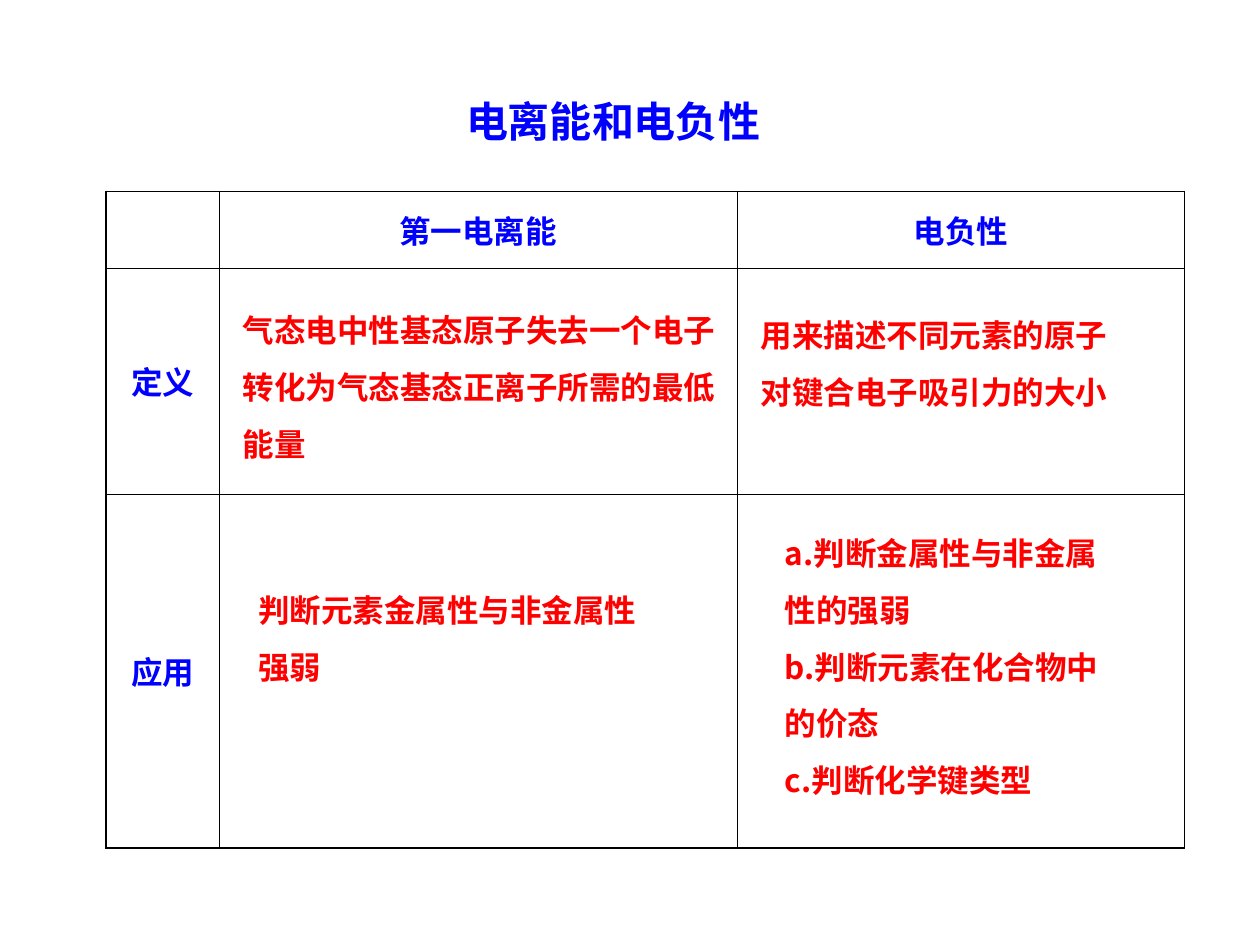
from lxml import etree
from pptx import Presentation
from pptx.dml.color import RGBColor
from pptx.enum.text import MSO_ANCHOR, MSO_AUTO_SIZE, PP_ALIGN
from pptx.oxml.ns import qn
from pptx.util import Inches, Pt

MIDDLE = MSO_ANCHOR.MIDDLE
GROW = MSO_AUTO_SIZE.SHAPE_TO_FIT_TEXT
CENTER = PP_ALIGN.CENTER

FONT = "Noto Sans CJK SC"
COLORS = {"heading": "0000FF", "answer": "FF0000", "border": "000000"}
OUTER, INNER = 1.08, 0.45

TITLE = ("电离能和电负性", (3.6, 0.71, 2.61, 0.5))
ROWS = [
    ["", "第一电离能", "电负性"],
    ["定义", "", ""],
    ["应用", "", ""],
]
TABLE_LEFT, TABLE_TOP = 0.84, 1.52
COLUMN_WIDTHS = [0.9, 4.11, 3.55]
ROW_HEIGHTS = [0.61, 1.79, 2.81]
ANSWERS = [
    (["气态电中性基态原子失去一个电子转化为气态基态正离子所需的最低能量"],
     (1.83, 2.27, 4.17, 1.45)),
    (["用来描述不同元素的原子对键合电子吸引力的大小"],
     (5.94, 2.31, 3.18, 1)),
    (["判断元素金属性与非金属性", "强弱"],
     (1.95, 4.49, 3.86, 1)),
    (["a.判断金属性与非金属", "性的强弱", "b.判断元素在化合物中", "的价态", "c.判断化学键类型"],
     (6.13, 4.04, 3.15, 2.35)),
]


def style(para, size, color):
    font = para.font
    font.name, font.size, font.bold = FONT, Pt(size), True
    font.color.rgb = RGBColor.from_string(COLORS[color])
    latin = font._element.find(qn("a:latin"))
    east_asian = etree.Element(qn("a:ea"), typeface=FONT)
    latin.addnext(east_asian)


def add_text(page, lines, place, size, color, spacing=1.0):
    box = page.shapes.add_textbox(*map(Inches, place))
    frame = box.text_frame
    frame.word_wrap = True
    frame.auto_size = GROW
    frame.text = "\n".join(lines)
    for para in frame.paragraphs:
        para.line_spacing = spacing
        style(para, size, color)


def set_borders(cell, widths):
    properties = cell._tc.get_or_add_tcPr()
    for position, (side, width) in enumerate(widths.items()):
        line = etree.Element(qn("a:ln" + side), w=str(Pt(width)))
        fill = etree.SubElement(line, qn("a:solidFill"))
        etree.SubElement(fill, qn("a:srgbClr"), val=COLORS["border"])
        properties.insert(position, line)


def add_comparison(page):
    last_row, last_column = len(ROWS) - 1, len(COLUMN_WIDTHS) - 1
    table = page.shapes.add_table(
        len(ROWS), len(COLUMN_WIDTHS), Inches(TABLE_LEFT), Inches(TABLE_TOP),
        Inches(sum(COLUMN_WIDTHS)), Inches(sum(ROW_HEIGHTS))).table
    table.first_row = table.horz_banding = False
    for column, width in zip(table.columns, COLUMN_WIDTHS):
        column.width = Inches(width)
    for row, height in zip(table.rows, ROW_HEIGHTS):
        row.height = Inches(height)
    for r, texts in enumerate(ROWS):
        for c, text in enumerate(texts):
            cell = table.cell(r, c)
            cell.fill.background()
            cell.vertical_anchor = MIDDLE
            cell.text = text
            para = cell.text_frame.paragraphs[0]
            para.alignment = CENTER
            if r and text:
                para.space_before = Pt(4.5)
            style(para, 18, "heading")
            set_borders(cell, {
                "L": OUTER if c == 0 else INNER,
                "R": OUTER if c == last_column else INNER,
                "T": OUTER if r == 0 else INNER,
                "B": OUTER if r == last_row else INNER,
            })


def main():
    deck = Presentation()
    deck.slide_width, deck.slide_height = Inches(10), Inches(7.5)
    page = deck.slides.add_slide(deck.slide_layouts[6])
    title, place = TITLE
    add_text(page, [title], place, 24, "heading")
    add_comparison(page)
    for lines, place in ANSWERS:
        add_text(page, lines, place, 18, "answer", 1.5)
    deck.save("out.pptx")


if __name__ == "__main__":
    main()
